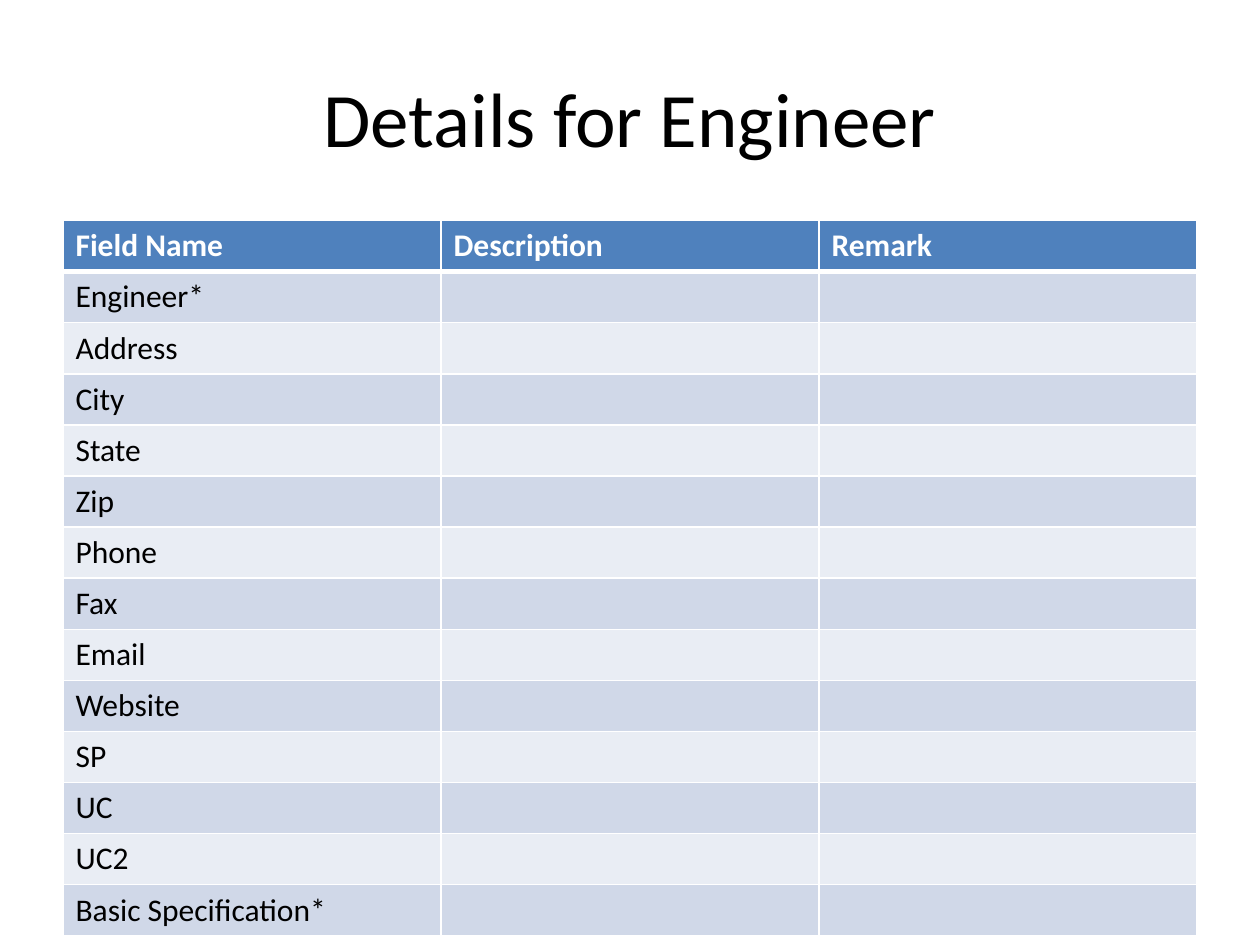
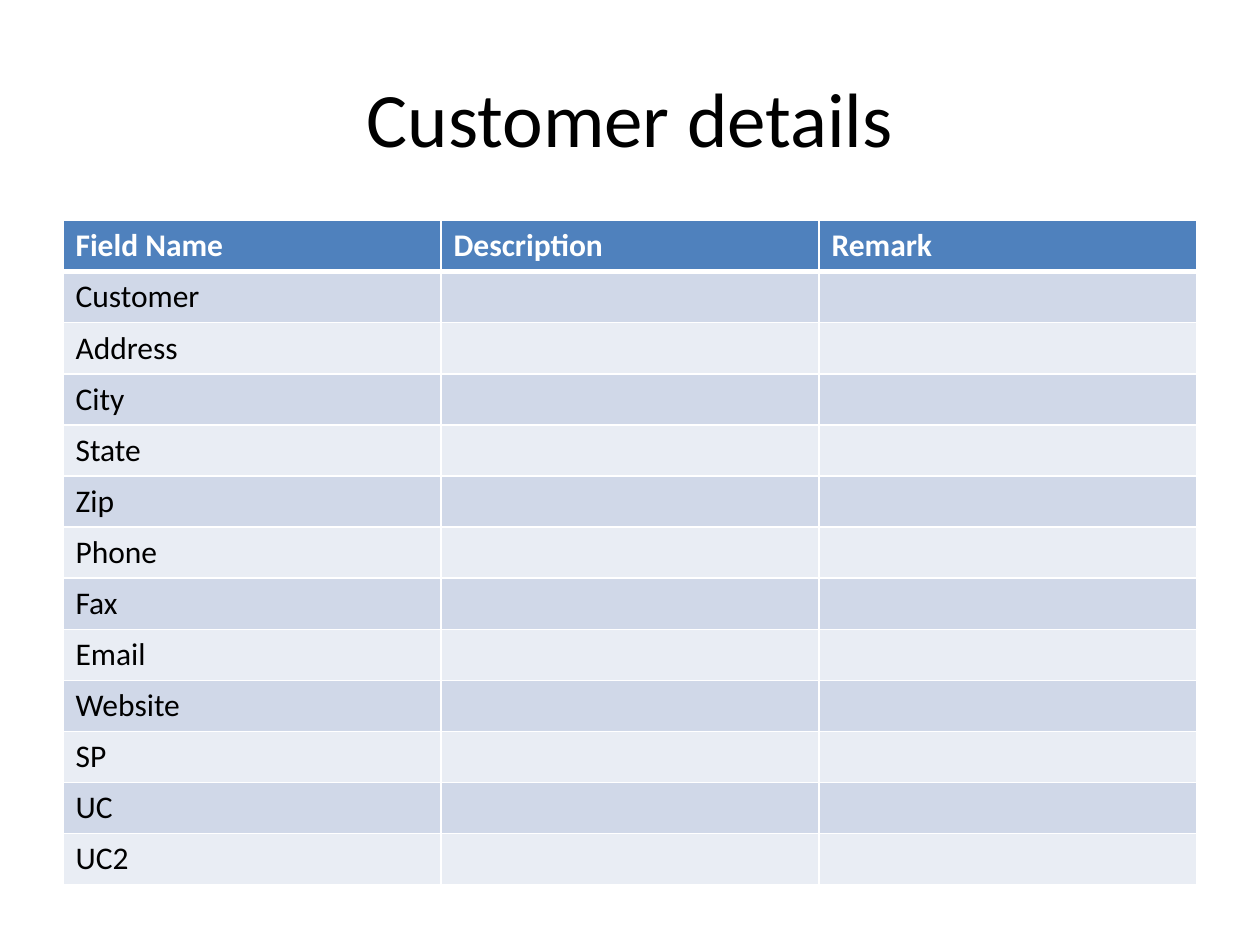
from pptx import Presentation
from pptx.dml.color import RGBColor
from pptx.enum.text import MSO_ANCHOR as Anchor, PP_ALIGN as Align
from pptx.oxml.ns import qn
from pptx.util import Inches, Pt
from lxml.etree import SubElement

# Shared look
COLORS = {"text": "000000", "white": "FFFFFF", "header": "4F81BD",
          "odd_row": "D0D8E8", "even_row": "E9EDF4"}
FONT = "Calibri"

# Shared grid: a 5 % margin and three equal columns
WIDTH, HEIGHT = Inches(10), Inches(7.5)
MARGIN = int(WIDTH * 0.05)
CONTENT_WIDTH = WIDTH - 2 * MARGIN
TITLE_TOP, TITLE_HEIGHT = int(HEIGHT * 0.04), Inches(1.25)
TABLE_TOP = Inches(1.75)
ROW_HEIGHT = Pt(29.2)

# Content
HEADINGS = ["Field Name", "Description", "Remark"]
CONTACT_FIELDS = ["Address", "City", "State", "Zip", "Phone", "Fax",
                  "Email", "Website", "SP", "UC", "UC2"]
PAGES = [
    ("Details for Engineer", ["Engineer*", *CONTACT_FIELDS, "Basic Specification*"]),
    ("Customer details", ["Customer", *CONTACT_FIELDS]),
]


def write(frame, text, size=18, color="text", bold=False, align=Align.LEFT):
    paragraph = frame.paragraphs[0]
    paragraph.alignment = align
    run = paragraph.add_run()
    run.text = text
    run.font.name, run.font.size, run.font.bold = FONT, Pt(size), bold
    run.font.color.rgb = RGBColor.from_string(COLORS[color])


def style_cell(cell, fill, top=1, bottom=1):
    properties = cell._tc.get_or_add_tcPr()
    for side, points in (("L", 1), ("R", 1), ("T", top), ("B", bottom)):
        border = SubElement(properties, qn(f"a:ln{side}"), w=str(Pt(points)))
        solid = SubElement(border, qn("a:solidFill"))
        SubElement(solid, qn("a:srgbClr"), val=COLORS["white"])
    cell.fill.solid()
    cell.fill.fore_color.rgb = RGBColor.from_string(COLORS[fill])


deck = Presentation()
deck.slide_width, deck.slide_height = WIDTH, HEIGHT
title_only = deck.slide_layouts[5]

for heading, fields in PAGES:
    slide = deck.slides.add_slide(title_only)

    # Title
    title = slide.shapes.title
    title.left, title.top = MARGIN, TITLE_TOP
    title.width, title.height = CONTENT_WIDTH, TITLE_HEIGHT
    title.text_frame.vertical_anchor = Anchor.MIDDLE
    write(title.text_frame, heading, size=44, align=Align.CENTER)

    # Field table
    row_count = len(fields) + 1
    table = slide.shapes.add_table(row_count, len(HEADINGS), MARGIN, TABLE_TOP,
                                   CONTENT_WIDTH, ROW_HEIGHT * row_count).table

    # Header row, with a thick rule below
    for cell, label in zip(table.rows[0].cells, HEADINGS):
        style_cell(cell, "header", bottom=3)
        write(cell.text_frame, label, color="white", bold=True)

    # Field rows in alternating bands
    for number, field in enumerate(fields, start=1):
        for cell in table.rows[number].cells:
            style_cell(cell, "odd_row" if number % 2 else "even_row",
                       top=3 if number == 1 else 1)
        write(table.cell(number, 0).text_frame, field)

deck.save("out.pptx")
